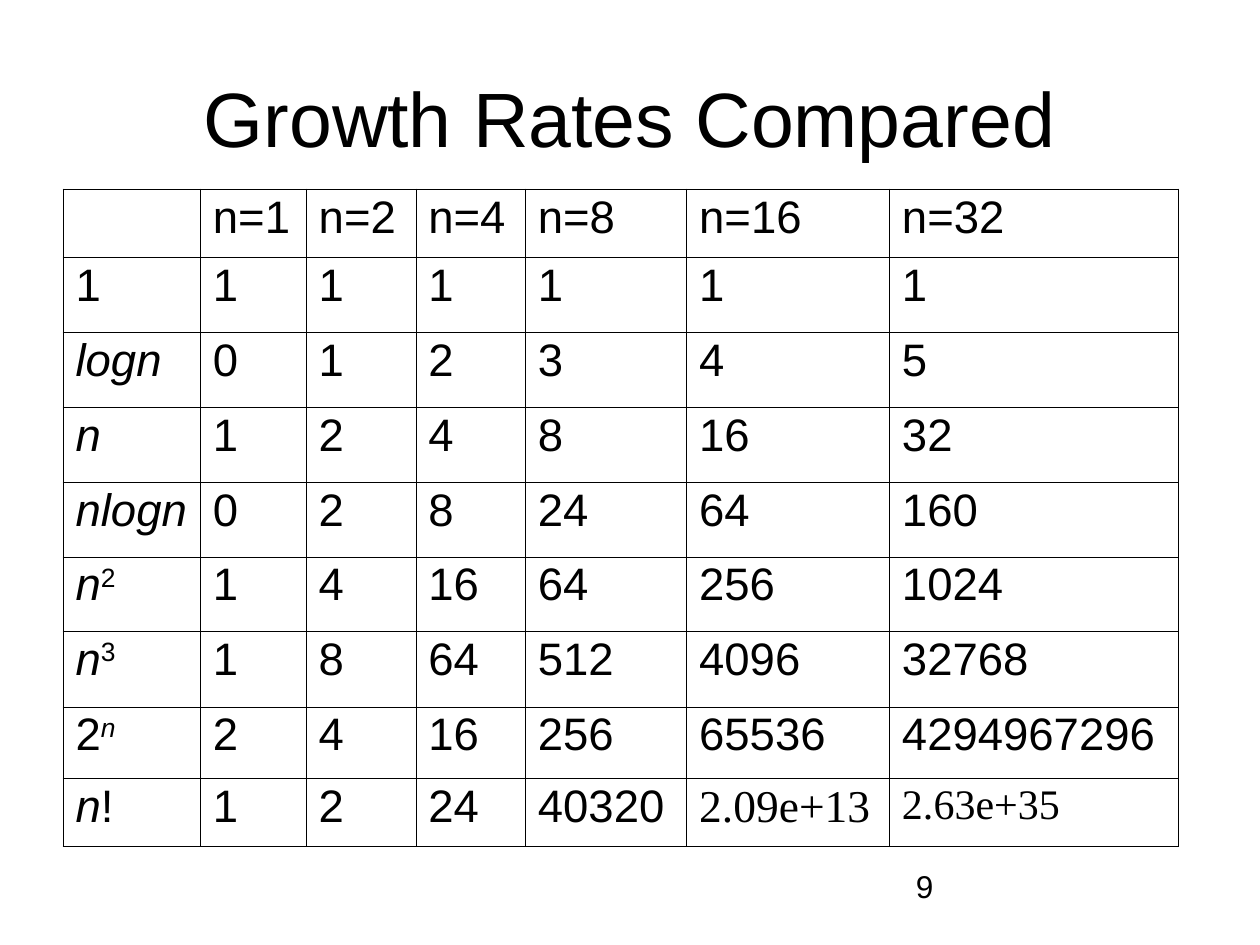
"""Build a slide with a table comparing the growth rates of common functions."""
from lxml.etree import SubElement
from pptx import Presentation
from pptx.dml.color import RGBColor
from pptx.enum.text import MSO_ANCHOR, PP_ALIGN
from pptx.oxml.ns import qn
from pptx.util import Inches, Pt

COLORS = {"text": "000000", "border": "000000", "background": "FFFFFF"}
COLUMN_WIDTHS = [1.09, 0.84, 0.87, 0.87, 1.28, 1.61, 2.29]
ROW_HEIGHTS = [0.54, 0.6, 0.59, 0.6, 0.59, 0.59, 0.6, 0.57, 0.54]
HEADINGS = ["n=1", "n=2", "n=4", "n=8", "n=16", "n=32"]
GROWTH_RATES = [
    ([("1", "")], ["1", "1", "1", "1", "1", "1"]),
    ([("logn", "italic")], ["0", "1", "2", "3", "4", "5"]),
    ([("n", "italic")], ["1", "2", "4", "8", "16", "32"]),
    ([("nlogn", "italic")], ["0", "2", "8", "24", "64", "160"]),
    ([("n", "italic"), ("2", "raised")], ["1", "4", "16", "64", "256", "1024"]),
    ([("n", "italic"), ("3", "raised")], ["1", "8", "64", "512", "4096", "32768"]),
    ([("2", ""), ("n", "italic raised")], ["2", "4", "16", "256", "65536", "4294967296"]),
    ([("n", "italic"), ("!", "")], ["1", "2", "24", "40320", "2.09e+13", "2.63e+35"]),
]


def set_font(para, size, name="Arial"):
    para.font.size = Pt(size)
    para.font.name = name
    para.font.color.rgb = RGBColor.from_string(COLORS["text"])


def add_borders(cell, widths):
    properties = cell._tc.get_or_add_tcPr()
    for position, (side, width) in enumerate(widths.items()):
        line = SubElement(properties, qn(f"a:ln{side}"), w=str(Pt(width)))
        fill = SubElement(line, qn("a:solidFill"))
        SubElement(fill, qn("a:srgbClr"), val=COLORS["border"])
        properties.insert(position, line)


deck = Presentation()
deck.slide_width, deck.slide_height = Inches(10), Inches(7.5)
page = deck.slides.add_slide(deck.slide_layouts[5])
page.background.fill.solid()
page.background.fill.fore_color.rgb = RGBColor.from_string(COLORS["background"])

number_box = page.shapes.add_textbox(Inches(7.17), Inches(6.83), Inches(2.33), Inches(0.52))
number_box.text_frame.word_wrap = True
number_box.text_frame.text = "9"
set_font(number_box.text_frame.paragraphs[0], 18)

title = page.shapes.title
title.left, title.top = Inches(0.5), Inches(0.3)
title.width, title.height = Inches(9), Inches(1.25)
title.text_frame.text = "Growth Rates Compared"
title.text_frame.vertical_anchor = MSO_ANCHOR.MIDDLE
title.text_frame.paragraphs[0].alignment = PP_ALIGN.CENTER
set_font(title.text_frame.paragraphs[0], 44)

rows = [[[]] + [[(heading, "")] for heading in HEADINGS]]
rows += [[label] + [[(value, "")] for value in values] for label, values in GROWTH_RATES]
last_row, last_column = len(ROW_HEIGHTS) - 1, len(COLUMN_WIDTHS) - 1
table = page.shapes.add_table(
    len(ROW_HEIGHTS), len(COLUMN_WIDTHS), Inches(0.5), Inches(1.5),
    Inches(sum(COLUMN_WIDTHS)), Inches(sum(ROW_HEIGHTS)),
).table
table.first_row = table.horz_banding = False
for column, width in zip(table.columns, COLUMN_WIDTHS):
    column.width = Inches(width)
for row, height in zip(table.rows, ROW_HEIGHTS):
    row.height = Inches(height)

for row_index, row in enumerate(rows):
    for column_index, pieces in enumerate(row):
        cell = table.cell(row_index, column_index)
        cell.fill.background()
        outer_sides = {
            "L": column_index == 0,
            "R": column_index == last_column,
            "T": row_index == 0,
            "B": row_index == last_row,
        }
        add_borders(cell, {side: 0.5 if outer else 0.23 for side, outer in outer_sides.items()})
        para = cell.text_frame.paragraphs[0]
        para.line_spacing = 0.93
        is_last = (row_index, column_index) == (last_row, last_column)
        para.space_before = Pt(0 if is_last else 6.5)
        is_scientific = any("e+" in text for text, style in pieces)
        name = "Times New Roman" if is_scientific else "Arial"
        set_font(para, 24 if is_last else 26, name)
        for text, style in pieces:
            span = para.add_run()
            span.text = text
            if "italic" in style:
                span.font.italic = True
            if "raised" in style:
                span.font._element.set("baseline", "30000")

deck.save("out.pptx")
